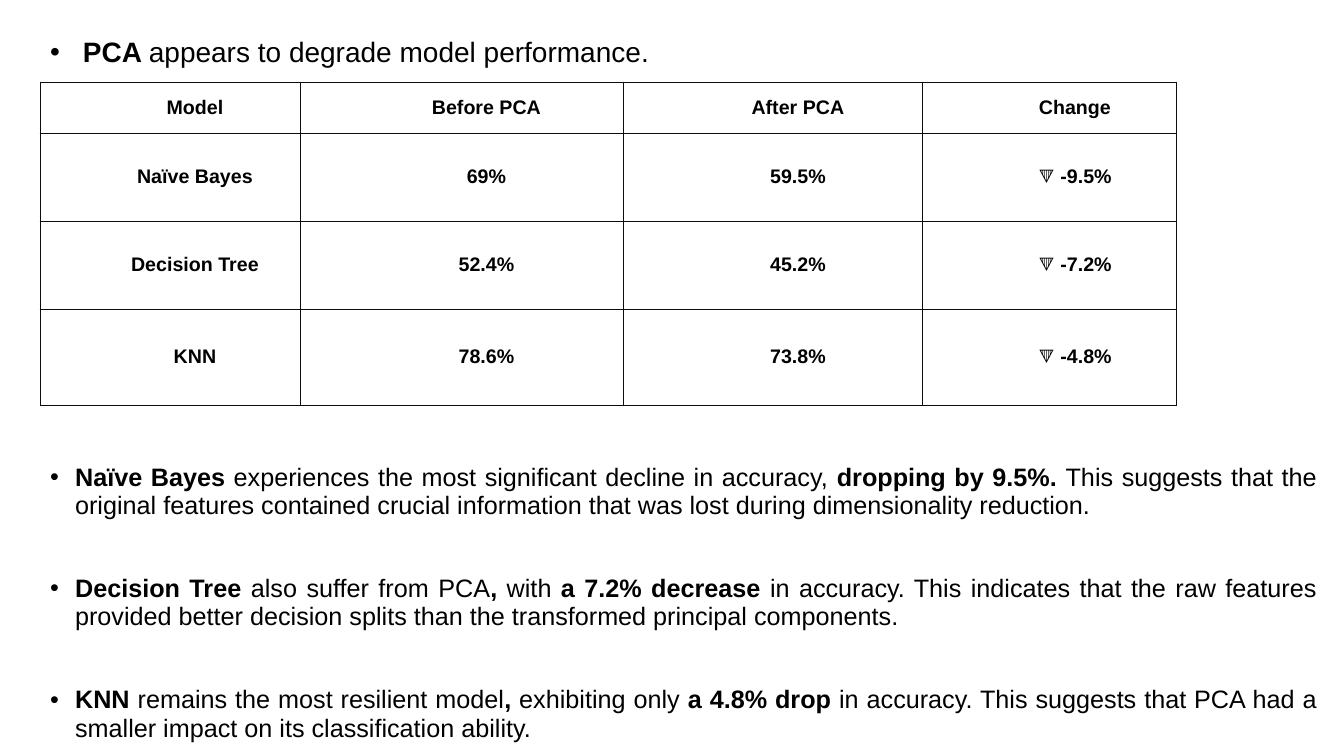
import pptx
import pptx.util
import pptx.oxml
import pptx.oxml.ns
import pptx.dml.color
import pptx.enum.text

PX = 914400 / 100.8
COLORS = {"text": "000000", "border": "0D0D0D", "cell": "FFFFFF"}
CENTER = pptx.enum.text.PP_ALIGN.CENTER
JUSTIFY = pptx.enum.text.PP_ALIGN.JUSTIFY
MIDDLE = pptx.enum.text.MSO_ANCHOR.MIDDLE


def px(length):
    return pptx.util.Emu(round(length * PX))


def add_text(para, text, size=18, bold=False):
    span = para.add_run()
    span.text = text
    span.font.name = "Arial"
    span.font.size = pptx.util.Pt(size)
    span.font.bold = bold
    span.font.color.rgb = pptx.dml.color.RGBColor.from_string(COLORS["text"])


deck = pptx.Presentation()
deck.slide_width, deck.slide_height = px(1344), px(756)
page = deck.slides.add_slide(deck.slide_layouts[1])
title = page.shapes.title
title.element.getparent().remove(title.element)

# Findings: size, space before, space after, then (text, bold) spans
findings = [
    (20, 6, 0, [(" ", False), ("PCA ", True),
                ("appears to degrade model performance.", False)]),
    (18, 282, 5, [("Naïve Bayes", True),
                  (" experiences the most significant decline in accuracy,", False),
                  (" dropping by 9.5%. ", True),
                  ("This suggests that the original features contained crucial information "
                   "that was lost during dimensionality reduction.", False)]),
    (18, 34, 5, [("Decision Tree ", True), ("also suffer from PCA", False),
                 (", ", True), ("with", False), (" a 7.2% decrease ", True),
                 ("in accuracy. This indicates that the raw features provided better "
                  "decision splits than the transformed principal components. ", False)]),
    (18, 34, 5, [("KNN ", True), ("remains the most resilient model", False),
                 (", ", True), ("exhibiting only", False), (" a 4.8% drop ", True),
                 ("in accuracy. This suggests that PCA had a smaller impact on its "
                  "classification ability.", False)]),
]
body = page.placeholders[1]
body.left, body.top, body.width, body.height = px(40), px(32), px(1287), px(724)
frame = body.text_frame
frame.word_wrap = True
frame.auto_size = pptx.enum.text.MSO_AUTO_SIZE.NONE
frame.vertical_anchor = pptx.enum.text.MSO_ANCHOR.TOP
for index, (size, before, after, spans) in enumerate(findings):
    para = frame.add_paragraph() if index else frame.paragraphs[0]
    para.alignment = JUSTIFY
    para.line_spacing = 0.94
    para.space_before = pptx.util.Pt(before)
    para.space_after = pptx.util.Pt(after)
    properties = para._p.get_or_add_pPr()
    properties.set("marL", str(px(25)))
    properties.set("indent", str(px(-25)))
    for text, bold in spans:
        add_text(para, text, size=size, bold=bold)

# Accuracy table, stacked as one strip per row
column_widths = [260, 323, 300, 254]
strips = [
    (51, ["Model", "Before PCA", "After PCA", "Change"]),
    (88, ["Naïve Bayes", "69%", "59.5%", "🔻 -9.5%"]),
    (88, ["Decision Tree", "52.4%", "45.2%", "🔻 -7.2%"]),
    (96, ["KNN", "78.6%", "73.8%", "🔻 -4.8%"]),
]
top = 82
for height, labels in strips:
    strip = page.shapes.add_table(1, len(labels), px(40), px(top),
                                  px(sum(column_widths)), px(height)).table
    strip.first_row = strip.horz_banding = False
    top += height
    for column, (width, label) in enumerate(zip(column_widths, labels)):
        strip.columns[column].width = px(width)
        cell = strip.cell(0, column)
        cell.margin_left = cell.margin_right = px(1)
        cell.margin_top = cell.margin_bottom = px(1)
        cell.vertical_anchor = MIDDLE
        for side in ("lnL", "lnR", "lnT", "lnB"):
            cell._tc.get_or_add_tcPr().append(pptx.oxml.parse_xml(
                f'<a:{side} {pptx.oxml.ns.nsdecls("a")} w="{pptx.util.Pt(0.75)}">'
                f'<a:solidFill><a:srgbClr val="{COLORS["border"]}"/></a:solidFill>'
                f'</a:{side}>'))
        cell.fill.solid()
        cell.fill.fore_color.rgb = pptx.dml.color.RGBColor.from_string(COLORS["cell"])
        para = cell.text_frame.paragraphs[0]
        para.alignment = CENTER
        para.space_before = para.space_after = pptx.util.Pt(5)
        para._p.get_or_add_pPr().set("marL", str(px(50)))
        add_text(para, label, size=14, bold=True)

deck.save("out.pptx")
